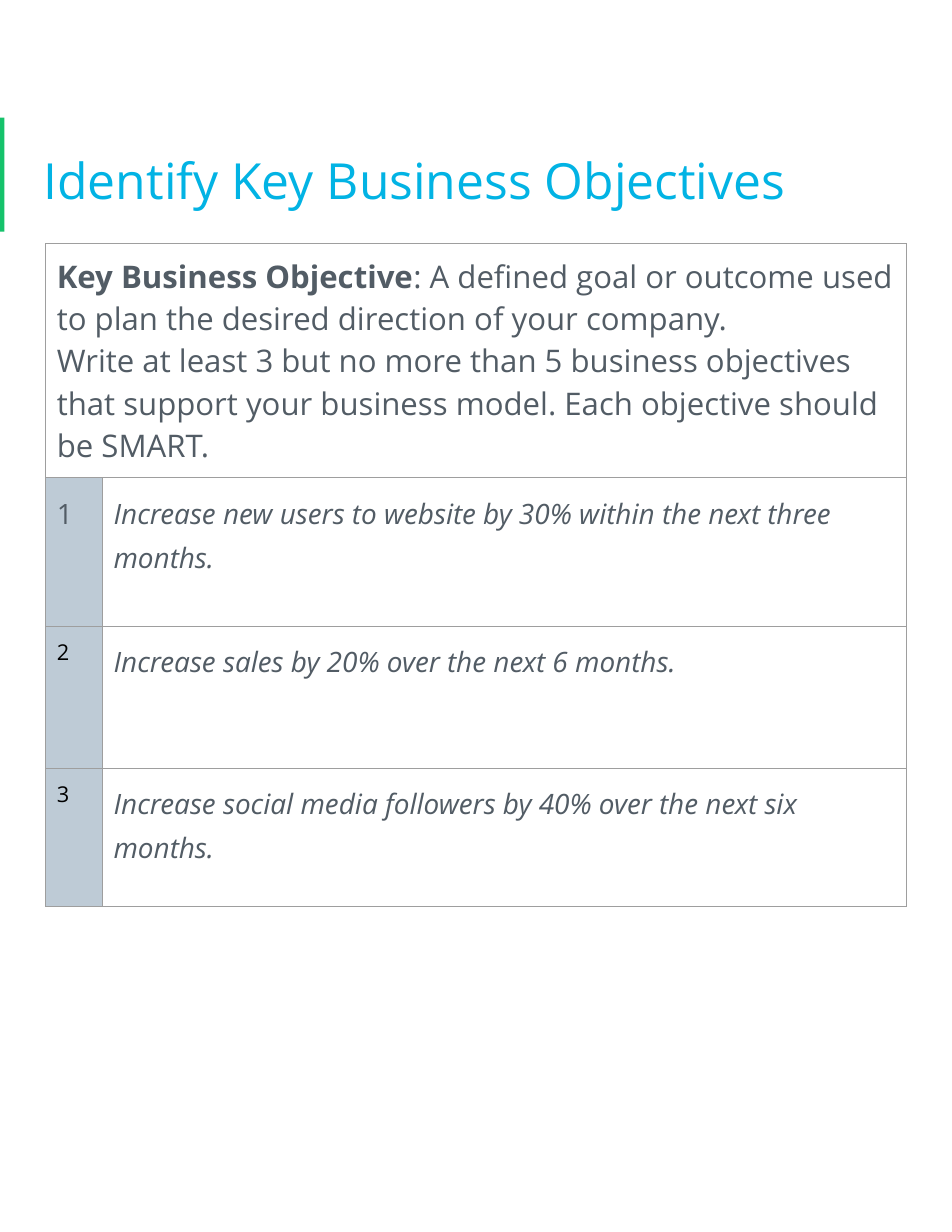
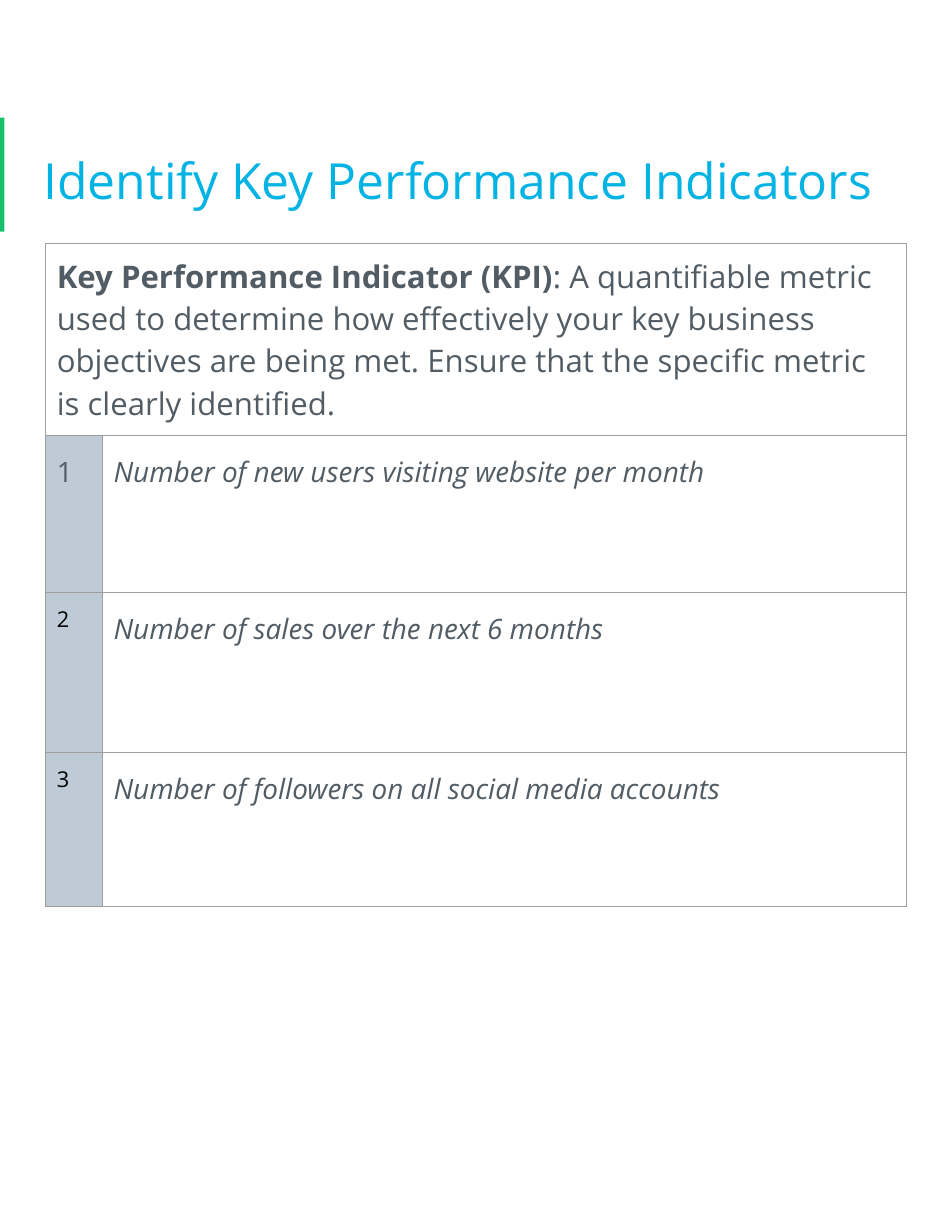
from dataclasses import dataclass

import pptx
import pptx.dml.color
import pptx.enum.shapes
import pptx.enum.text
import pptx.oxml
import pptx.oxml.ns
import pptx.presentation
import pptx.slide
import pptx.table
import pptx.text.text
import pptx.util
from pptx.dml.color import RGBColor
from pptx.util import Pt

FONT = "Open Sans"
GREEN = RGBColor(0x15, 0xC2, 0x6B)
BLUE = RGBColor(0x02, 0xB3, 0xE4)
SLATE = RGBColor(0x52, 0x5C, 0x65)
MIST = RGBColor(0xBE, 0xCB, 0xD6)
GREY = RGBColor(0x9E, 0x9E, 0x9E)
BLACK = RGBColor(0x00, 0x00, 0x00)

INSET = Pt(7.2)
LINE_SPACING = 1.15
SPACE_AFTER = Pt(16)
BORDER_WIDTH = Pt(0.75)
COLUMN_WIDTHS = (Pt(36.5), Pt(517))


@dataclass(frozen=True)
class TextStyle:
    size: float
    color: RGBColor
    bold: bool = False
    italic: bool = False


TITLE = TextStyle(32, BLUE)
TERM = TextStyle(20, SLATE, bold=True)
DEFINITION = TextStyle(20, SLATE)
FIRST_NUMBER = TextStyle(18, SLATE)
NUMBER = TextStyle(14, BLACK)
ANSWER = TextStyle(18, SLATE, italic=True)


@dataclass(frozen=True)
class Answer:
    text: str
    height: float


@dataclass(frozen=True)
class Worksheet:
    title: str
    term: str
    definition_lines: tuple[str, ...]
    header_height: float
    answers: tuple[Answer, ...]


WORKSHEETS = (
    Worksheet(
        "Identify Key Business Objectives",
        "Key Business Objective",
        (
            ": A defined goal or outcome used to plan the desired direction of your company.",
            "Write at least 3 but no more than 5 business objectives that support your "
            "business model. Each objective should be SMART.",
        ),
        150.4,
        (
            Answer("Increase new users to website by 30% within the next three months.", 95.5),
            Answer("Increase sales by 20% over the next 6 months.", 91.25),
            Answer("Increase social media followers by 40% over the next six months.", 89),
        ),
    ),
    Worksheet(
        "Identify Key Performance Indicators",
        "Key Performance Indicator (KPI)",
        (
            ": A quantifiable metric used to determine how effectively your key business "
            "objectives are being met. Ensure that the specific metric is clearly identified.",
        ),
        123.3,
        (
            Answer("Number of new users visiting website per month", 101),
            Answer("Number of sales over the next 6 months", 103),
            Answer("Number of followers on all social media accounts", 99),
        ),
    ),
)


def add_run(paragraph: pptx.text.text._Paragraph, text: str, style: TextStyle) -> None:
    run = paragraph.add_run()
    run.text = text
    run.font.name = FONT
    run.font.size = Pt(style.size)
    run.font.bold = style.bold
    run.font.italic = style.italic
    run.font.color.rgb = style.color


def add_band(slide: pptx.slide.Slide) -> None:
    band = slide.shapes.add_shape(
        pptx.enum.shapes.MSO_SHAPE.RECTANGLE, Pt(0), Pt(75.6), Pt(2.9), Pt(73.4)
    )
    band.shadow.inherit = False
    band.fill.solid()
    band.fill.fore_color.rgb = GREEN
    band.line.fill.background()


def add_title(slide: pptx.slide.Slide, title: str) -> None:
    frame = slide.shapes.add_textbox(Pt(21), Pt(68.4), Pt(570), Pt(87.8)).text_frame
    frame.word_wrap = True
    frame.vertical_anchor = pptx.enum.text.MSO_ANCHOR.MIDDLE
    frame.margin_left = frame.margin_right = INSET
    frame.margin_top = frame.margin_bottom = INSET
    paragraph = frame.paragraphs[0]
    paragraph.line_spacing = LINE_SPACING
    add_run(paragraph, title, TITLE)


def format_cell(cell: pptx.table._Cell) -> None:
    """Give a cell its insets, a thin border on every side and no fill."""
    cell.margin_left = cell.margin_right = INSET
    cell.margin_top = cell.margin_bottom = INSET
    properties = cell._tc.get_or_add_tcPr()
    for side in ("lnL", "lnR", "lnT", "lnB"):
        properties.append(
            pptx.oxml.parse_xml(
                f'<a:{side} {pptx.oxml.ns.nsdecls("a")} w="{BORDER_WIDTH}">'
                f'<a:solidFill><a:srgbClr val="{GREY}"/></a:solidFill></a:{side}>'
            )
        )
    cell.fill.background()


def fill_header(cell: pptx.table._Cell, worksheet: Worksheet) -> None:
    cell.vertical_anchor = pptx.enum.text.MSO_ANCHOR.MIDDLE
    paragraph = cell.text_frame.paragraphs[0]
    paragraph.space_after = SPACE_AFTER
    add_run(paragraph, worksheet.term, TERM)
    for index, line in enumerate(worksheet.definition_lines):
        if index:
            paragraph.add_line_break()
        add_run(paragraph, line, DEFINITION)


def fill_answer_row(table: pptx.table.Table, number: int, answer: Answer) -> None:
    table.rows[number].height = Pt(answer.height)
    number_cell, answer_cell = table.cell(number, 0), table.cell(number, 1)
    number_cell.fill.solid()
    number_cell.fill.fore_color.rgb = MIST

    number_paragraph = number_cell.text_frame.paragraphs[0]
    answer_paragraph = answer_cell.text_frame.paragraphs[0]
    answer_paragraph.line_spacing = LINE_SPACING
    answer_paragraph.space_after = SPACE_AFTER
    if number == 1:
        number_paragraph.line_spacing = LINE_SPACING
    add_run(number_paragraph, str(number), FIRST_NUMBER if number == 1 else NUMBER)
    add_run(answer_paragraph, answer.text, ANSWER)


def add_worksheet_table(slide: pptx.slide.Slide, worksheet: Worksheet) -> None:
    header_height = Pt(worksheet.header_height)
    height = header_height + sum(Pt(answer.height) for answer in worksheet.answers)
    table = slide.shapes.add_table(
        len(worksheet.answers) + 1, len(COLUMN_WIDTHS),
        Pt(29.3), Pt(156.6), sum(COLUMN_WIDTHS), height,
    ).table
    table.first_row = False
    table.horz_banding = False
    for column, width in zip(table.columns, COLUMN_WIDTHS):
        column.width = width
    for cell in table.iter_cells():
        format_cell(cell)

    table.rows[0].height = header_height
    table.cell(0, 0).merge(table.cell(0, 1))
    fill_header(table.cell(0, 0), worksheet)
    for number, answer in enumerate(worksheet.answers, start=1):
        fill_answer_row(table, number, answer)


def add_worksheet(
    presentation: pptx.presentation.Presentation, worksheet: Worksheet
) -> None:
    slide = presentation.slides.add_slide(presentation.slide_layouts[6])
    add_band(slide)
    add_title(slide, worksheet.title)
    add_worksheet_table(slide, worksheet)


def main() -> None:
    presentation = pptx.Presentation()
    presentation.slide_width = Pt(612)
    presentation.slide_height = Pt(792)
    for worksheet in WORKSHEETS:
        add_worksheet(presentation, worksheet)
    presentation.save("out.pptx")


if __name__ == "__main__":
    main()
